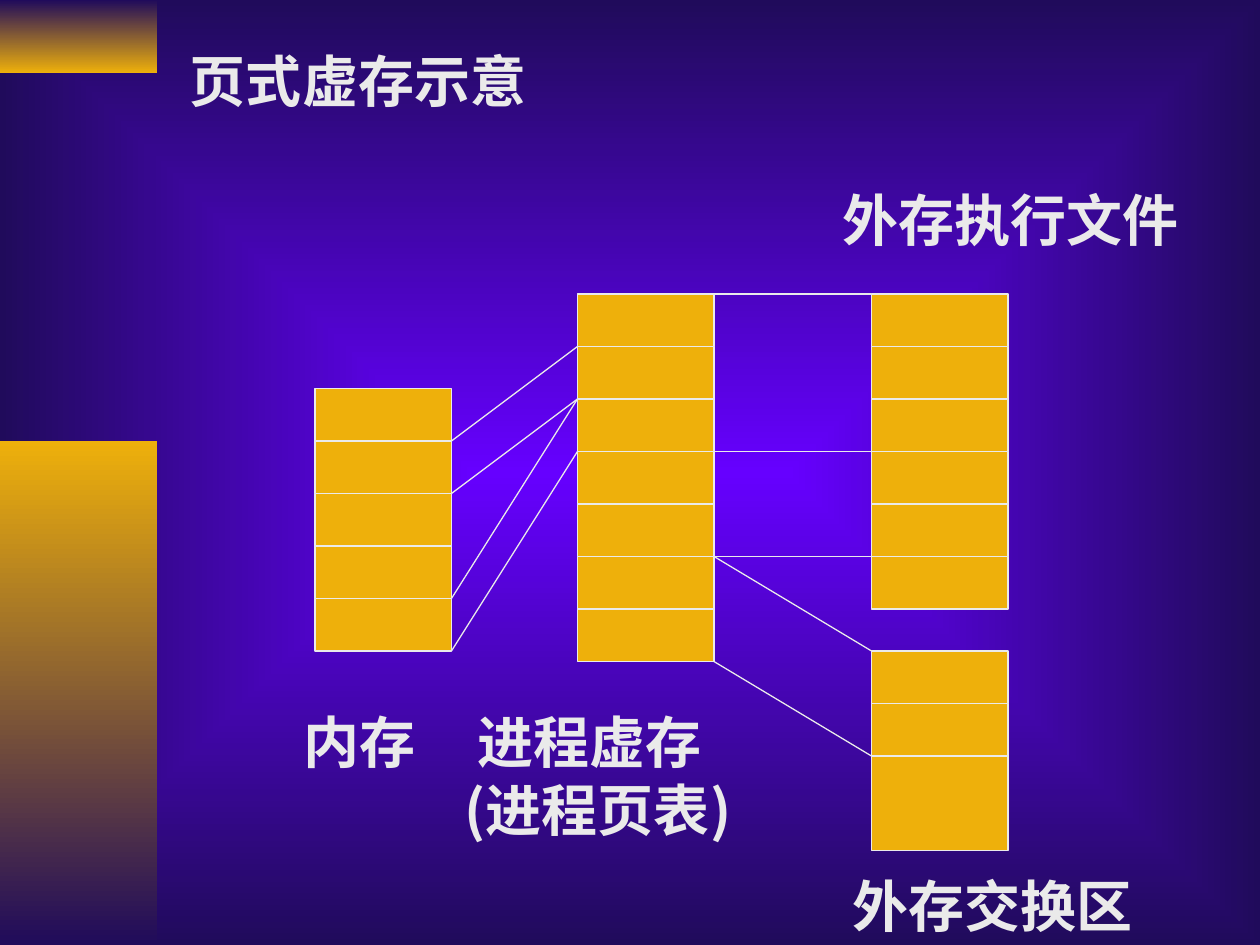
from lxml import etree
from pptx import Presentation
from pptx.dml.color import RGBColor
from pptx.enum import shapes, text
from pptx.oxml import ns
from pptx.util import Inches, Pt

GOLD, NAVY, VIOLET, PALE = "EEB00B", "200B5B", "6600FF", "EAEAEA"
PAGE_WIDTH, PAGE_HEIGHT = 13 / 12, 5 / 12
MEMORY_LEFT, VIRTUAL_LEFT, DISK_LEFT = 2.5, 55 / 12, 83 / 12
MEMORY_TOP, VIRTUAL_TOP, SWAP_TOP = 37 / 12, 28 / 12, 62 / 12
HEADING_FONT, LABEL_FONT = "Times New Roman", "Noto Sans CJK SC"


def color(value):
    return RGBColor.from_string(value)


def fill_gradient(fill, start, end):
    fill.gradient()
    for stop, value in zip(fill.gradient_stops, (start, end)):
        stop.color.rgb = color(value)


def set_background(slide):
    fill_gradient(slide.background.fill, VIOLET, NAVY)
    linear = next(slide.element.iter(ns.qn("a:lin")))
    gradient = linear.getparent()
    gradient.remove(linear)
    center = etree.SubElement(gradient, ns.qn("a:path"), {"path": "rect"})
    etree.SubElement(center, ns.qn("a:fillToRect"), dict.fromkeys("ltrb", "50000"))


def add_rectangle(slide, left, top, width, height):
    shape = slide.shapes.add_shape(
        shapes.MSO_SHAPE.RECTANGLE,
        Inches(left), Inches(top), Inches(width), Inches(height),
    )
    shape.shadow.inherit = False
    return shape


def add_side_band(slide, top, height, start, end):
    band = add_rectangle(slide, 0, top, 1.25, height)
    fill_gradient(band.fill, start, end)
    band.fill.gradient_angle = 270
    band.line.fill.background()


def add_page(slide, left, top, height=PAGE_HEIGHT, line_width=0.75):
    page = add_rectangle(slide, left, top, PAGE_WIDTH, height)
    page.fill.solid()
    page.fill.fore_color.rgb = color(GOLD)
    page.line.color.rgb = color(PALE)
    page.line.width = Pt(line_width)


def add_pages(slide, left, top, count):
    for index in range(count):
        add_page(slide, left, top + index * PAGE_HEIGHT)


def add_link(slide, start_x, start_y, end_x, end_y):
    link = slide.shapes.add_connector(
        shapes.MSO_CONNECTOR.STRAIGHT,
        Inches(start_x), Inches(start_y), Inches(end_x), Inches(end_y),
    )
    link.line.color.rgb = color(PALE)
    link.line.width = Pt(0.75)
    etree.SubElement(link.element.spPr, ns.qn("a:effectLst"))


def add_text(slide, content, left, top, width, height=0.64, font=LABEL_FONT, size=32, tabs=()):
    box = slide.shapes.add_textbox(Inches(left), Inches(top), Inches(width), Inches(height))
    frame = box.text_frame
    frame.word_wrap = True
    frame.vertical_anchor = text.MSO_ANCHOR.TOP
    frame.text = content
    for paragraph, tab in zip(frame.paragraphs, tabs):
        properties = paragraph._p.get_or_add_pPr()
        stops = etree.SubElement(properties, ns.qn("a:tabLst"))
        etree.SubElement(stops, ns.qn("a:tab"), {"pos": str(Inches(tab)), "algn": "l"})
    for paragraph in frame.paragraphs:
        for run in paragraph.runs:
            run.font.name = font
            run.font.size = Pt(size)
            run.font.bold = True
            run.font.color.rgb = color(PALE)
            east_asian = etree.SubElement(run._r.get_or_add_rPr(), ns.qn("a:ea"))
            east_asian.set("typeface", LABEL_FONT)


def add_links(slide):
    for virtual_row, memory_row in ((1, 1), (2, 2), (2, 4), (3, 5)):
        add_link(
            slide,
            VIRTUAL_LEFT, VIRTUAL_TOP + virtual_row * PAGE_HEIGHT,
            MEMORY_LEFT + PAGE_WIDTH, MEMORY_TOP + memory_row * PAGE_HEIGHT,
        )
    disk_links = [(row, VIRTUAL_TOP + row * PAGE_HEIGHT) for row in (0, 3, 5)]
    swap_links = [(5, SWAP_TOP), (7, SWAP_TOP + 2 * PAGE_HEIGHT)]
    for row, end_y in disk_links + swap_links:
        start_y = VIRTUAL_TOP + row * PAGE_HEIGHT
        add_link(slide, VIRTUAL_LEFT + PAGE_WIDTH, start_y, DISK_LEFT, end_y)


def main():
    presentation = Presentation()
    presentation.slide_width, presentation.slide_height = Inches(10), Inches(7.5)
    slide = presentation.slides.add_slide(presentation.slide_layouts[6])
    set_background(slide)
    add_side_band(slide, 0, 0.58, NAVY, GOLD)
    add_side_band(slide, 3.5, 4, GOLD, NAVY)

    add_pages(slide, MEMORY_LEFT, MEMORY_TOP, 5)
    add_pages(slide, VIRTUAL_LEFT, VIRTUAL_TOP, 7)
    add_pages(slide, DISK_LEFT, VIRTUAL_TOP, 6)
    add_pages(slide, DISK_LEFT, SWAP_TOP, 2)
    add_page(slide, DISK_LEFT, SWAP_TOP + 2 * PAGE_HEIGHT, height=0.75, line_width=1)
    add_links(slide)

    add_text(slide, "页式虚存示意", 1.41, 0.32, 2.9, font=HEADING_FONT)
    add_text(slide, "外存执行文件", 6.59, 1.42, 2.9)
    add_text(slide, "内存\t进程虚存\n\t(进程页表)", 2.31, 5.57, 4.3, height=1.17, tabs=(1.38, 1.28))
    add_text(slide, "外存交换区", 6.67, 6.87, 2.45)
    presentation.save("out.pptx")


if __name__ == "__main__":
    main()
